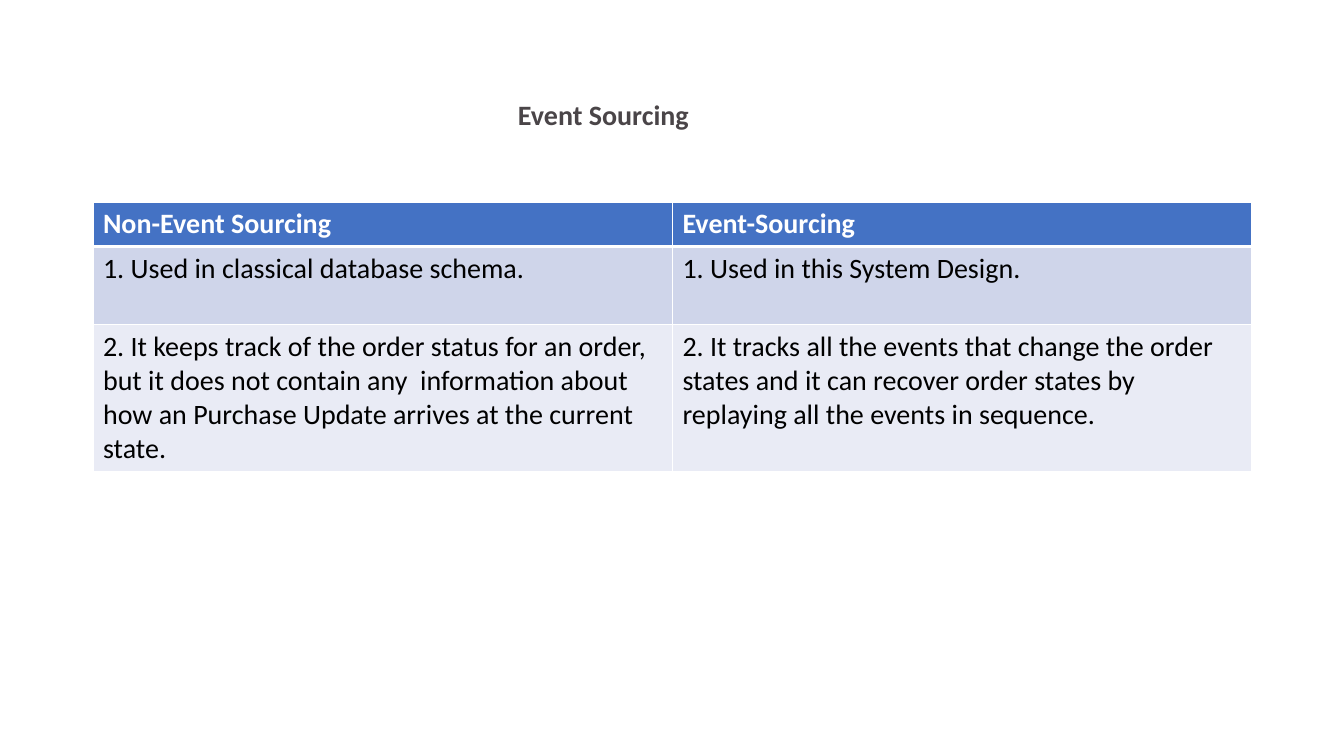
import pptx
import pptx.util
import pptx.dml.color
import pptx.enum.text
import pptx.oxml

Rgb = pptx.dml.color.RGBColor
WHITE = Rgb(0xFF, 0xFF, 0xFF)
BLACK = Rgb(0, 0, 0)
GREY = Rgb(0x4A, 0x45, 0x48)
BLUE = Rgb(0x44, 0x72, 0xC4)
BAND = Rgb(0xCF, 0xD5, 0xEA)
PALE = Rgb(0xE9, 0xEB, 0xF5)
NS = "http://schemas.openxmlformats.org/drawingml/2006/main"


def px(n):
    return pptx.util.Emu(round(n * 914400 / 100.8))


def write(frame, text, color=BLACK, bold=False, space=1.0):
    par = frame.paragraphs[0]
    par.alignment = pptx.enum.text.PP_ALIGN.LEFT
    par.line_spacing = space
    run = par.add_run()
    run.text = text
    run.font.name = "Calibri"
    run.font.size = pptx.util.Pt(20)
    run.font.bold = bold
    run.font.color.rgb = color


deck = pptx.Presentation()
deck.slide_width, deck.slide_height = px(1344), px(756)
slide = deck.slides.add_slide(deck.slide_layouts[5])

title = slide.shapes.title
title.left, title.top, title.width, title.height = px(93), px(40), px(1159), px(146)
frame = title.text_frame
frame.vertical_anchor = pptx.enum.text.MSO_ANCHOR.MIDDLE
frame.margin_left, frame.margin_top, frame.margin_bottom = px(425), px(11), px(5)
write(frame, "Event Sourcing", color=GREY, bold=True, space=0.9)

rows = [
    (44, BLUE, ["Non-Event Sourcing", "Event-Sourcing"]),
    (78, BAND, ["1. Used in classical database schema.",
                "1. Used in this System Design."]),
    (147, PALE, ["2. It keeps track of the order status for an order, but it does not "
                 "contain any  information about how an Purchase Update arrives "
                 "at the current state.",
                 "2. It tracks all the events that change the order states and it can "
                 "recover order states by replaying all the events in sequence."]),
]
high = sum(row[0] for row in rows)
table = slide.shapes.add_table(3, 2, px(93), px(202), px(1159), px(high)).table
for col in table.columns:
    col.width = px(1159 / 2)

for r, (tall, fill, texts) in enumerate(rows):
    table.rows[r].height = px(tall)
    head = r == 0
    for c, text in enumerate(texts):
        cell = table.cell(r, c)
        cell.fill.solid()
        cell.fill.fore_color.rgb = fill
        write(cell.text_frame, text, color=WHITE if head else BLACK, bold=head)
        props = cell._tc.get_or_add_tcPr()
        for i, side in enumerate("LRTB"):
            thick = (r, side) in ((0, "B"), (1, "T"))
            width = pptx.util.Pt(3 if thick else 1)
            props.insert(i, pptx.oxml.parse_xml(
                f'<a:ln{side} xmlns:a="{NS}" w="{width}"><a:solidFill>'
                f'<a:srgbClr val="{WHITE}"/></a:solidFill></a:ln{side}>'))

deck.save("out.pptx")
